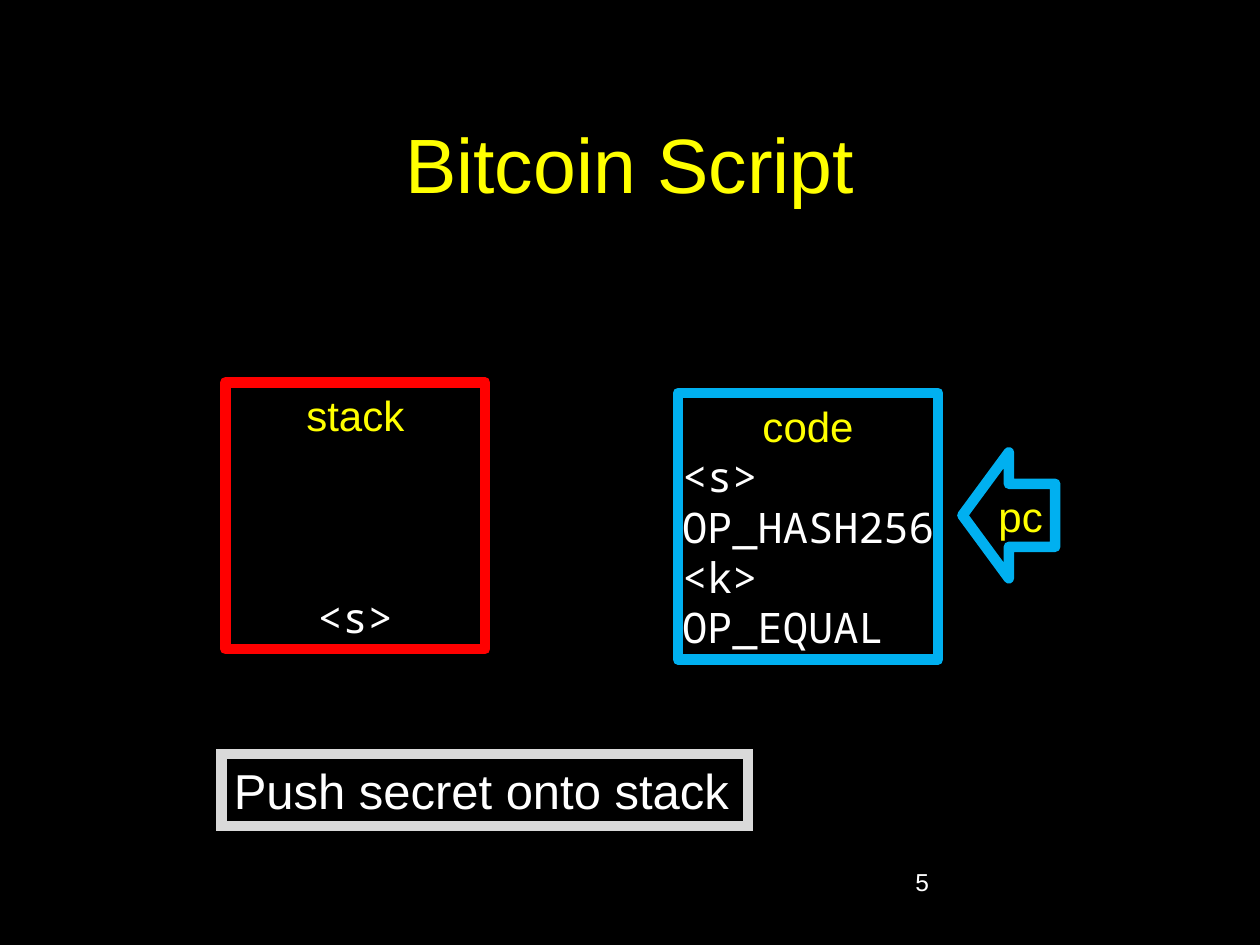
from lxml.etree import SubElement
from pptx import Presentation
from pptx.dml.color import RGBColor
from pptx.enum.shapes import MSO_SHAPE as Shape
from pptx.enum.text import MSO_ANCHOR as Anchor, PP_ALIGN as Align
from pptx.oxml.ns import qn
from pptx.util import Pt

BLACK = RGBColor(0x00, 0x00, 0x00)
WHITE = RGBColor(0xFF, 0xFF, 0xFF)
YELLOW = RGBColor(0xFF, 0xFF, 0x00)
RED = RGBColor(0xFF, 0x00, 0x00)
BLUE = RGBColor(0x00, 0xB0, 0xF0)
GREY = RGBColor(0xD9, 0xD9, 0xD9)

SANS, MONO = "Arial", "Noto Sans Mono"
PITCH = Pt(28.8)
BOX_SIZE = (148.5, 152.5)


def set_text(p, text, size, color, font=SANS, **paragraph_format):
    r = p.add_run()
    r.text = text
    for name, value in {"size": Pt(size), "name": font}.items():
        setattr(r.font, name, value)
    r.font.color.rgb = color
    for name, value in paragraph_format.items():
        setattr(p, name, value)


def add_title(slide, text):
    sp = slide.shapes.title
    sp.left, sp.top, sp.width, sp.height = Pt(54), Pt(48), Pt(612), Pt(90)
    sp.text_frame.vertical_anchor = Anchor.MIDDLE
    set_text(sp.text_frame.paragraphs[0], text, 44, YELLOW, alignment=Align.CENTER)


def add_outline(slide, kind, bounds, color, anchor=Anchor.MIDDLE, join="round"):
    """Add a black shape with a thick outline and return its text frame."""
    sp = slide.shapes.add_shape(kind, *map(Pt, bounds))
    sp.shadow.inherit = False
    sp.fill.solid()
    sp.fill.fore_color.rgb = BLACK
    sp.line.color.rgb = color
    sp.line.width = Pt(6)
    SubElement(sp.line._get_or_add_ln(), qn(f"a:{join}"))
    tf = sp.text_frame
    tf.word_wrap = False
    tf.vertical_anchor = anchor
    return tf


def add_memory_box(slide, left, top, color, label, lines, align, gap=0):
    """Add a labelled box; gap is the number of free rows below its label."""
    tf = add_outline(slide, Shape.RECTANGLE, (left, top, *BOX_SIZE), color)
    set_text(tf.paragraphs[0], label, 24, YELLOW,
             alignment=Align.CENTER, line_spacing=PITCH)
    for i, line in enumerate(lines):
        set_text(tf.add_paragraph(), line, 24, WHITE, MONO, alignment=align,
                 line_spacing=PITCH, space_before=0 if i else gap * PITCH)


def add_slide_number(slide, number):
    tf = slide.shapes.add_textbox(Pt(516), Pt(492), Pt(150), Pt(36)).text_frame
    tf.word_wrap = True
    set_text(tf.paragraphs[0], number, 14, WHITE)


def main():
    prs = Presentation()
    prs.slide_width, prs.slide_height = Pt(720), Pt(540)
    slide = prs.slides.add_slide(prs.slide_layouts[5])
    slide.background.fill.solid()
    slide.background.fill.fore_color.rgb = BLACK

    add_title(slide, "Bitcoin Script")
    add_slide_number(slide, "5")
    add_memory_box(slide, 387.5, 224.5, BLUE, "code",
                   ["<s>", "OP_HASH256", "<k>", "OP_EQUAL"], Align.LEFT)
    add_memory_box(slide, 128.75, 218.5, RED, "stack", ["<s>"], Align.CENTER, gap=3)

    pointer = add_outline(slide, Shape.LEFT_ARROW, (550, 258.5, 53, 72), BLUE)
    set_text(pointer.paragraphs[0], "pc", 24, YELLOW, alignment=Align.RIGHT)

    caption = add_outline(slide, Shape.RECTANGLE, (126.5, 430.75, 301, 41.25), GREY,
                          Anchor.TOP, "miter")
    set_text(caption.paragraphs[0], "Push secret onto stack", 28, WHITE,
             alignment=Align.LEFT)

    prs.save("out.pptx")


if __name__ == "__main__":
    main()
